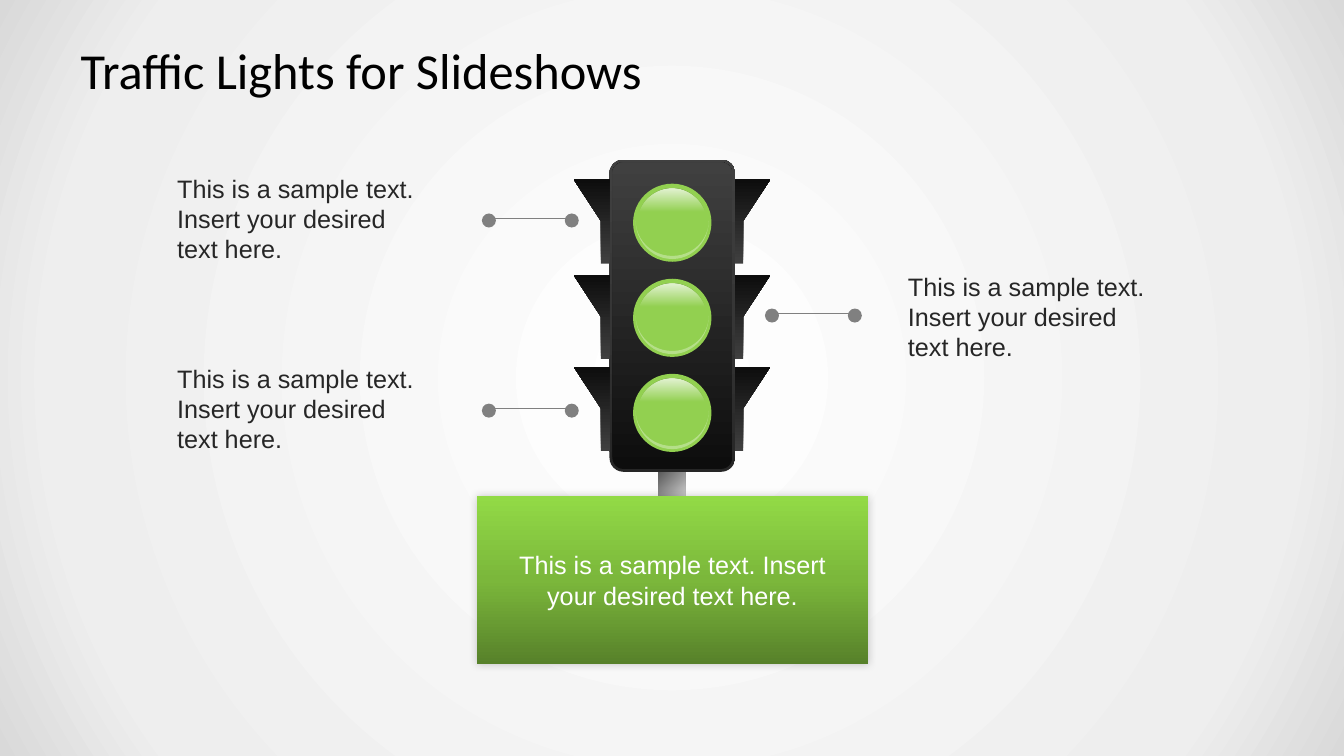
from dataclasses import dataclass
from math import cos, pi, sin

from pptx import Presentation
from pptx.dml.color import RGBColor
from pptx.enum.shapes import MSO_CONNECTOR, MSO_SHAPE
from pptx.enum.text import MSO_ANCHOR, MSO_AUTO_SIZE, PP_ALIGN
from pptx.oxml import parse_xml
from pptx.oxml.ns import nsdecls, qn
from pptx.oxml.xmlchemy import OxmlElement
from pptx.util import Pt


@dataclass(frozen=True)
class Theme:
    title_font: str = "Calibri"
    body_font: str = "Arial"
    title_size: int = 36
    body_size: int = 18
    title: str = "000000"
    body: str = "262626"
    white: str = "FFFFFF"
    lamp: str = "92D050"
    marker: str = "808080"
    # Gradient stops: position, colour, opacity (percent)
    backdrop: tuple = ((0, "FFFFFF", 100), (81, "EEEEEE", 100), (100, "D9D9D9", 100))
    pole: tuple = ((0, "595959", 100), (50, "F2F2F2", 100), (100, "FFFFFF", 100))
    panel: tuple = ((0, "0D0D0D", 100), (100, "404040", 100))
    frame: tuple = ((0, "262626", 100), (50, "363636", 100), (100, "404040", 100))
    hood: tuple = ((0, "404040", 100), (100, "0D0D0D", 100))
    gloss: tuple = ((0, "FFFFFF", 75), (34, "FFFFFF", 0))
    sign: tuple = ((0, "57812A", 100), (50, "7BB73B", 100), (100, "92DA46", 100))


THEME = Theme()
SAMPLE = "This is a sample text. Insert your desired text here."
LAMP_TOP, LAMP_PITCH, LAMP_CENTRE = 131.2, 67.9, 480.2
HOOD_TOPS = (128.2, 196.6, 262.1)
HOOD_OUTLINE = ((0, 0), (0, 60), (6.2, 60), (6.2, 29.6), (25.5, 0))


def set_values(target, values):
    for name, value in values.items():
        setattr(target, name, value)


# Fills
def gradient(stops, angle=None):
    marks = "".join(
        f'<a:gs pos="{place * 1000}"><a:srgbClr val="{color}">'
        f'<a:alpha val="{opacity * 1000}"/></a:srgbClr></a:gs>'
        for place, color, opacity in stops)
    if angle is None:
        course = ('<a:path path="circle"><a:fillToRect l="50000" t="50000" '
                  'r="50000" b="50000"/></a:path>')
    else:
        course = f'<a:lin ang="{angle * 60000}" scaled="0"/>'
    return parse_xml(f'<a:gradFill {nsdecls("a")} rotWithShape="1">'
                     f'<a:gsLst>{marks}</a:gsLst>{course}</a:gradFill>')


def fill_gradient(fill, properties, stops, angle=None):
    fill.background()
    properties.replace(properties.find(qn("a:noFill")), gradient(stops, angle))


def paint(shape, color, angle=90, opacity=100):
    shape.shadow.inherit = False
    shape.line.fill.background()
    properties = shape.element.spPr
    if isinstance(color, tuple):
        fill_gradient(shape.fill, properties, color, angle)
        return shape
    shape.fill.solid()
    shape.fill.fore_color.rgb = RGBColor.from_string(color)
    if opacity < 100:
        alpha = OxmlElement("a:alpha")
        alpha.set("val", str(opacity * 1000))
        properties.find(qn("a:solidFill"))[0].append(alpha)
    return shape


# Shapes
def add_preset(page, kind, box, color, angle=90):
    shape = page.shapes.add_shape(kind, *map(Pt, box))
    return paint(shape, color, angle)


def add_outline(page, points, color, angle=90, opacity=100):
    corners = [(Pt(x), Pt(y)) for x, y in points]
    builder = page.shapes.build_freeform(*corners[0])
    builder.add_line_segments(corners[1:], close=True)
    return paint(builder.convert_to_shape(), color, angle, opacity)


# Text
def write(shape, text, font, size, color, align, frame_values):
    frame = shape.text_frame
    set_values(frame, {"word_wrap": True, **frame_values})
    para = frame.paragraphs[0]
    para.alignment = align
    span = para.add_run()
    span.text = text
    set_values(span.font, {"name": font, "size": Pt(size)})
    span.font.color.rgb = RGBColor.from_string(color)


def add_title(page, text):
    title = page.shapes.title
    set_values(title, {"left": Pt(48), "top": Pt(21.6),
                       "width": Pt(864), "height": Pt(56.4)})
    write(title, text, THEME.title_font, THEME.title_size, THEME.title,
          PP_ALIGN.LEFT,
          {"vertical_anchor": MSO_ANCHOR.MIDDLE, "auto_size": MSO_AUTO_SIZE.NONE,
           "margin_left": Pt(9.6), "margin_right": Pt(9.6),
           "margin_top": Pt(4.8), "margin_bottom": Pt(4.8)})


def add_note(page, left, top):
    box = page.shapes.add_textbox(Pt(left), Pt(top), Pt(192.2), Pt(72.7))
    write(box, SAMPLE, THEME.body_font, THEME.body_size, THEME.body,
          PP_ALIGN.LEFT, {"auto_size": MSO_AUTO_SIZE.SHAPE_TO_FIT_TEXT})


# Parts of the traffic light
def add_housing(page):
    for box, radius, color in (((435.4, 114, 89.8, 223), 10, THEME.frame),
                               ((437.4, 116, 85.6, 219), 8, THEME.panel)):
        body = add_preset(page, MSO_SHAPE.ROUNDED_RECTANGLE, box, color, 270)
        body.adjustments[0] = radius / box[2]


def add_hood(page, base, top, side):
    points = [(base + side * x, top + y) for x, y in HOOD_OUTLINE]
    add_outline(page, points, THEME.hood, 270)


def add_lamp(page, top):
    add_preset(page, MSO_SHAPE.OVAL, (LAMP_CENTRE - 28, top, 56, 55.8), THEME.lamp)
    turns = [step * pi / 24 for step in range(25)]
    rim = [(turn, 27.4) for turn in turns] + [(turn, 25.2) for turn in turns[::-1]]
    points = [(LAMP_CENTRE + 26.1 * cos(turn), top + 26.4 + depth * sin(turn))
              for turn, depth in rim]
    add_outline(page, points, THEME.white, opacity=33)
    add_preset(page, MSO_SHAPE.OVAL, (LAMP_CENTRE - 24.4, top + 3.4, 48.8, 49.6),
               THEME.gloss)


def add_pointer(page, left, top):
    height = Pt(top + 3.6)
    line = page.shapes.add_connector(MSO_CONNECTOR.STRAIGHT, Pt(left + 4.4), height,
                                     Pt(left + 64.2), height)
    line.line.width = Pt(0.75)
    line.line.color.rgb = RGBColor.from_string(THEME.marker)
    line.element.spPr.append(OxmlElement("a:effectLst"))
    for offset in (0, 59.2):
        add_preset(page, MSO_SHAPE.OVAL, (left + offset, top, 10, 10), THEME.marker)


def add_sign(page):
    sign = add_preset(page, MSO_SHAPE.RECTANGLE, (340.8, 354.2, 279.2, 120.2),
                      THEME.sign, 270)
    shadow = parse_xml(
        f'<a:outerShdw {nsdecls("a")} blurRad="{Pt(6)}" dist="0" dir="18900000" '
        'algn="ctr" rotWithShape="0"><a:srgbClr val="000000">'
        '<a:alpha val="20000"/></a:srgbClr></a:outerShdw>')
    sign.element.spPr.find(qn("a:effectLst")).append(shadow)
    write(sign, SAMPLE, THEME.body_font, THEME.body_size, THEME.white,
          PP_ALIGN.CENTER,
          {"vertical_anchor": MSO_ANCHOR.MIDDLE,
           "margin_left": Pt(14.4), "margin_right": Pt(14.4)})


def main():
    deck = Presentation()
    set_values(deck, {"slide_width": Pt(960), "slide_height": Pt(540)})
    page = deck.slides.add_slide(deck.slide_layouts[5])
    fill = page.background.fill
    fill.background()
    fill_gradient(fill, next(page.element.iter(qn("p:bgPr"))), THEME.backdrop)

    add_title(page, "Traffic Lights for Slideshows")
    add_preset(page, MSO_SHAPE.RECTANGLE, (470, 337, 19.6, 80.6), THEME.pole, 45)
    add_housing(page)
    for base, side in ((435.4, -1), (524.7, 1)):
        for top in HOOD_TOPS:
            add_hood(page, base, top, side)

    # One lamp, pointer and note on each row
    notes = ((344.2, 119.5, 120.2), (546.4, 641.5, 190.1), (344.2, 119.5, 255.6))
    for row, (pointer_left, note_left, note_top) in enumerate(notes):
        top = LAMP_TOP + row * LAMP_PITCH
        add_lamp(page, top)
        add_pointer(page, pointer_left, top + 21.3)
        add_note(page, note_left, note_top)
    add_sign(page)
    deck.save("out.pptx")


if __name__ == "__main__":
    main()
